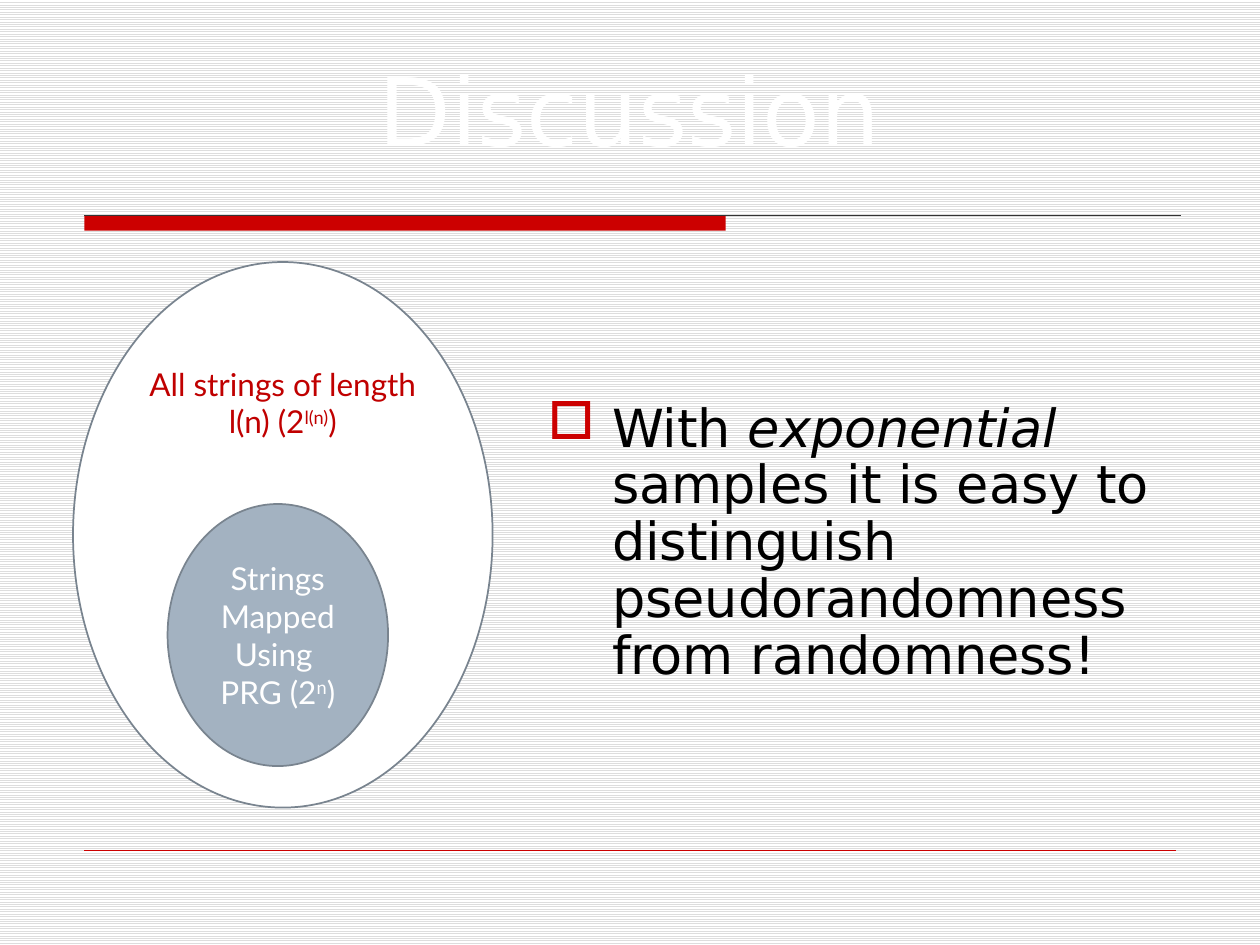
from lxml import etree
from pptx import Presentation
from pptx.dml.color import RGBColor
from pptx.enum import dml, shapes, text
from pptx.oxml import ns
from pptx.util import Inches, Pt

RED = RGBColor(0xCC, 0x00, 0x00)
DARK_RED = RGBColor(0xC0, 0x00, 0x00)
BLACK = RGBColor(0, 0, 0)
WHITE = RGBColor(0xFF, 0xFF, 0xFF)
STRIPE = RGBColor(0xDD, 0xDD, 0xDD)
RULE = RGBColor(0x33, 0x33, 0x33)
OUTLINE = RGBColor(0x79, 0x84, 0x8F)
BLUE_GREY = RGBColor(0xA3, 0xB2, 0xC1)


def set_frame(tf, **values):
    tf.word_wrap = True
    for name, value in values.items():
        setattr(tf, name, value)


def add_runs(p, runs, font, size, color):
    for content, style in runs:
        if content == "\n":
            p.add_line_break()
            continue
        r = p.add_run()
        r.text = content
        r.font.name, r.font.size = font, Pt(size)
        r.font.color.rgb = color
        if style == "italic":
            r.font.italic = True
        elif style == "super":
            r.font._element.set("baseline", "30000")


prs = Presentation()
prs.slide_width, prs.slide_height = Inches(10), Inches(7.5)
s = prs.slides.add_slide(prs.slide_layouts[6])

bg = s.background.fill
bg.patterned()
bg.pattern = dml.MSO_PATTERN.LIGHT_HORIZONTAL
bg.fore_color.rgb, bg.back_color.rgb = STRIPE, WHITE

bar = s.shapes.add_shape(shapes.MSO_SHAPE.RECTANGLE, Inches(0.67), Inches(1.71), Inches(5.09), Inches(0.12))
bar.shadow.inherit = False
bar.fill.solid()
bar.fill.fore_color.rgb = RED
bar.line.fill.background()

for right, y, color, width in [(9.37, 1.71, RULE, 0.75), (9.33, 6.75, RED, 0.25)]:
    rule = s.shapes.add_connector(shapes.MSO_CONNECTOR.STRAIGHT, Inches(0.67), Inches(y), Inches(right), Inches(y))
    rule.line.color.rgb, rule.line.width = color, Pt(width)
    etree.SubElement(rule._element.spPr, ns.qn("a:effectLst"))

title = s.shapes.add_textbox(Inches(0.67), Inches(0.3), Inches(8.66), Inches(1.12))
set_frame(title.text_frame, vertical_anchor=text.MSO_ANCHOR.MIDDLE)
p = title.text_frame.paragraphs[0]
p.alignment = text.PP_ALIGN.CENTER
add_runs(p, [("Discussion", None)], "DejaVu Sans", 54, WHITE)

body = s.shapes.add_textbox(Inches(4.25), Inches(2.58), Inches(5.33), Inches(2.92))
set_frame(body.text_frame, margin_top=Inches(0.61))
p = body.text_frame.paragraphs[0]
p.line_spacing = 0.9
pPr = p._p.get_or_add_pPr()
pPr.set("marL", str(Inches(0.51)))
pPr.set("indent", str(Inches(-0.51)))
color = etree.SubElement(pPr, ns.qn("a:buClr"))
etree.SubElement(color, ns.qn("a:srgbClr")).set("val", str(RED))
etree.SubElement(pPr, ns.qn("a:buChar")).set("char", "□")
add_runs(p, [("With ", None), ("exponential ", "italic"),
             ("samples it is easy to distinguish pseudorandomness from randomness!", None)],
         "DejaVu Sans", 30, BLACK)

ellipses = [
    ((0.58, 2.08, 3.33, 4.33), WHITE, DARK_RED, text.MSO_ANCHOR.TOP, 0.18,
     [("All strings of length l(n) (2", None), ("l(n)", "super"), (")", None)]),
    ((1.33, 4, 1.75, 2.08), BLUE_GREY, WHITE, text.MSO_ANCHOR.MIDDLE, 0.05,
     [("Strings Mapped Using ", None), ("\n", None), ("PRG (2", None), ("n", "super"), (")", None)]),
]
for box, fill, color, anchor, top, runs in ellipses:
    sp = s.shapes.add_shape(shapes.MSO_SHAPE.OVAL, *map(Inches, box))
    sp.shadow.inherit = False
    sp.fill.solid()
    sp.fill.fore_color.rgb = fill
    sp.line.color.rgb, sp.line.width = OUTLINE, Pt(1)
    set_frame(sp.text_frame, vertical_anchor=anchor, margin_top=Inches(top))
    p = sp.text_frame.paragraphs[0]
    p.alignment = text.PP_ALIGN.CENTER
    add_runs(p, runs, "Lato", 18, color)

prs.save("out.pptx")
